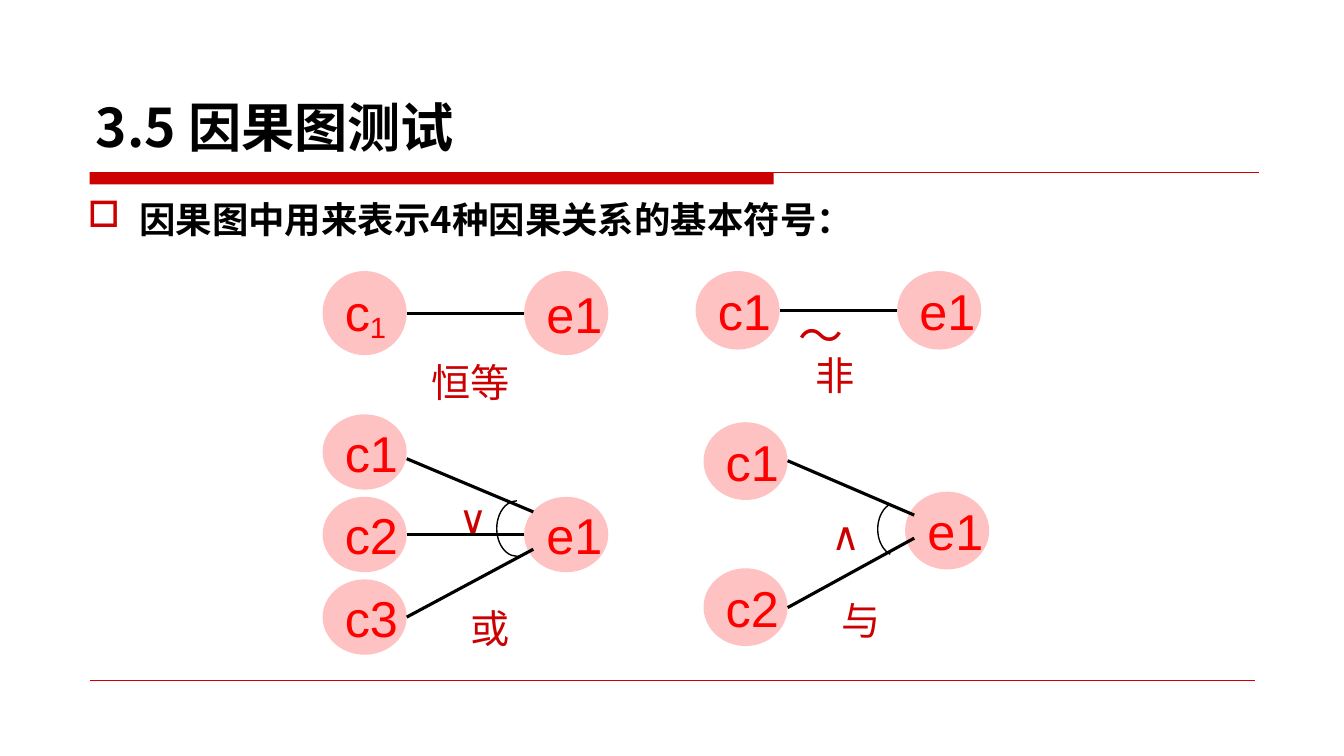
from lxml import etree
from pptx import Presentation
from pptx.dml.color import RGBColor
from pptx.enum.shapes import MSO_CONNECTOR, MSO_SHAPE
from pptx.enum.text import MSO_ANCHOR, PP_ALIGN
from pptx.oxml.ns import qn
from pptx.util import Cm, Pt

STRAIGHT = MSO_CONNECTOR.STRAIGHT
OVAL, ARC, RECT = MSO_SHAPE.OVAL, MSO_SHAPE.ARC, MSO_SHAPE.RECTANGLE
LEFT, JUSTIFY = PP_ALIGN.LEFT, PP_ALIGN.JUSTIFY
MIDDLE, BOTTOM = MSO_ANCHOR.MIDDLE, MSO_ANCHOR.BOTTOM

RED = RGBColor(0xCC, 0x00, 0x00)
NODE_RED = RGBColor(0xFF, 0x00, 0x00)
PINK = RGBColor(0xFF, 0xC2, 0xC2)
BLACK = RGBColor(0x00, 0x00, 0x00)

CJK, LATIN, SYMBOL = "Noto Sans CJK SC", "Arial", "DejaVu Sans"
NODE_W = 2.12      # width of a node, cm
EFFECT_X = 5.08    # offset of the effect column from the causes, cm


def set_font(p, name, size, color, bold=False):
    """Format a paragraph, for Latin and East Asian characters alike."""
    p.font.size, p.font.bold = Pt(size), bold
    p.font.color.rgb = color
    p.font.name = name
    for r in p.runs:
        r.font.name = name
        etree.SubElement(r._r.get_or_add_rPr(), qn("a:ea"), typeface=name)


def add_line(s, x1, y1, x2, y2, color, width):
    """Draw a straight line without shadow; lengths in cm."""
    line = s.shapes.add_connector(STRAIGHT, Cm(x1), Cm(y1), Cm(x2), Cm(y2))
    line.line.color.rgb, line.line.width = color, Pt(width)
    etree.SubElement(line._element.spPr, qn("a:effectLst"))


def add_label(s, x, y, text, font=CJK, size=28, width=2.8):
    """Write a red label with its box's top left corner at x, y."""
    tf = s.shapes.add_textbox(Cm(x), Cm(y), Cm(width), Cm(1.45)).text_frame
    tf.word_wrap = True
    tf.text = text
    set_font(tf.paragraphs[0], font, size, RED)


def add_node(s, x, y, height, text):
    """Draw a pink node; a part after "_" becomes a subscript."""
    sp = s.shapes.add_shape(OVAL, Cm(x), Cm(y), Cm(NODE_W), Cm(height))
    sp.shadow.inherit = False
    sp.fill.solid()
    sp.fill.fore_color.rgb = PINK
    sp.line.fill.background()
    tf = sp.text_frame
    tf.word_wrap, tf.vertical_anchor = False, MIDDLE
    p = tf.paragraphs[0]
    p.alignment = LEFT
    base, _, subscript = text.partition("_")
    p.add_run().text = base
    if subscript:
        r = p.add_run()
        r.text = subscript
        r._r.get_or_add_rPr().set("baseline", "-14000")
    set_font(p, LATIN, 36, NODE_RED)


def add_arc(s, x, y, height, start, end):
    """Draw the thin arc that joins several links; angles in degrees."""
    sp = s.shapes.add_shape(ARC, Cm(x), Cm(y), Cm(1.02), Cm(height))
    sp.shadow.inherit = False
    sp.fill.background()
    sp.line.color.rgb, sp.line.width = BLACK, Pt(1)
    for i, angle in enumerate((start, end)):
        sp.adjustments[i] = angle * 0.6


def add_relation(s, left, top, height, causes, effect_y, links, labels, arc=None):
    """Draw one cause-effect symbol; all offsets start at left, top."""
    for text, y in causes:
        add_node(s, left, top + y, height, text)
    add_node(s, left + EFFECT_X, top + effect_y, height, "e1")
    for y1, y2 in links:
        end_x = EFFECT_X + (0 if y1 == y2 else 0.23)
        add_line(s, left + NODE_W, top + y1, left + end_x, top + y2, BLACK, 2.25)
    for x, y, *label in labels:
        add_label(s, left + x, top + y, *label)
    if arc:
        y, arc_height, start, end = arc
        add_arc(s, left + 4.39, top + y, arc_height, start, end)


def add_title(s, left, top, width, height):
    """Place and format the title."""
    title = s.shapes.title
    title.left, title.top = Cm(left), Cm(top)
    title.width, title.height = Cm(width), Cm(height)
    tf = title.text_frame
    tf.text = "3.5 因果图测试"
    tf.vertical_anchor = BOTTOM
    tf.paragraphs[0].alignment = LEFT
    set_font(tf.paragraphs[0], CJK, 38, BLACK, True)


def add_rules(s, left, top, right, bottom):
    """Draw the bar and line below the title and the line at the foot."""
    bar = s.shapes.add_shape(RECT, Cm(left), Cm(top), Cm(17.24), Cm(0.31))
    bar.shadow.inherit = False
    bar.fill.solid()
    bar.fill.fore_color.rgb = RED
    bar.line.fill.background()
    add_line(s, left, top, right, top, RED, 0.75)
    add_line(s, left, bottom, right - 0.1, bottom, RED, 0.25)


def add_intro(s, left, top, width, height):
    """Write the bulleted sentence above the symbols."""
    tf = s.shapes.add_textbox(Cm(left), Cm(top), Cm(width), Cm(height)).text_frame
    tf.word_wrap = True
    tf.text = "因果图中用来表示4种因果关系的基本符号："
    p = tf.paragraphs[0]
    p.alignment, p.line_spacing = JUSTIFY, 1.3
    set_font(p, CJK, 26, BLACK, True)
    pPr = p._p.get_or_add_pPr()
    pPr.set("marL", str(Cm(1.3)))
    pPr.set("indent", str(-Cm(1.3)))
    color = etree.Element(qn("a:buClr"))
    etree.SubElement(color, qn("a:srgbClr"), val=str(RED))
    bullet = etree.Element(qn("a:buChar"), char="□")
    spacing = pPr.find(qn("a:lnSpc"))
    spacing.addnext(color)
    color.addnext(bullet)


prs = Presentation()
prs.slide_width, prs.slide_height = Cm(33.87), Cm(19.05)
s = prs.slides.add_slide(prs.slide_layouts[5])

add_rules(s, 2.26, 4.34, 31.73, 17.15)
add_title(s, 2.16, 0.74, 22.23, 3.38)
add_intro(s, 1.96, 4.52, 21.8, 2.2)

# Identity, not, or, and
add_relation(s, 8.13, 6.83, 2.12, [("c_1", 0)], 0, [(1.06, 1.06)],
             [(2.49, 2.08, "恒等")])
add_relation(s, 17.53, 6.83, 1.98, [("c1", 0)], 0, [(0.99, 0.99)],
             [(2.77, 1.9, "非"), (2.34, 0.79, "～", SYMBOL, 32)])
add_relation(s, 8.13, 10.44, 1.9,
             [(f"c{i + 1}", i * 2.08) for i in range(3)], 2.08,
             [(1.12, 2.46), (3.03, 3.03), (5.11, 3.4)],
             [(3.48, 4.67, "或"), (3.18, 1.88, "∨", SYMBOL)],
             (2.18, 1.4, 78, 270))
add_relation(s, 17.73, 10.64, 1.96, [("c1", 0), ("c2", 3.68)], 1.75,
             [(0.97, 2.34), (4.67, 2.92)],
             [(3.23, 4.27, "与"), (2.97, 2.13, "∧", SYMBOL)],
             (2.01, 1.37, 107, 253))

prs.save("out.pptx")
